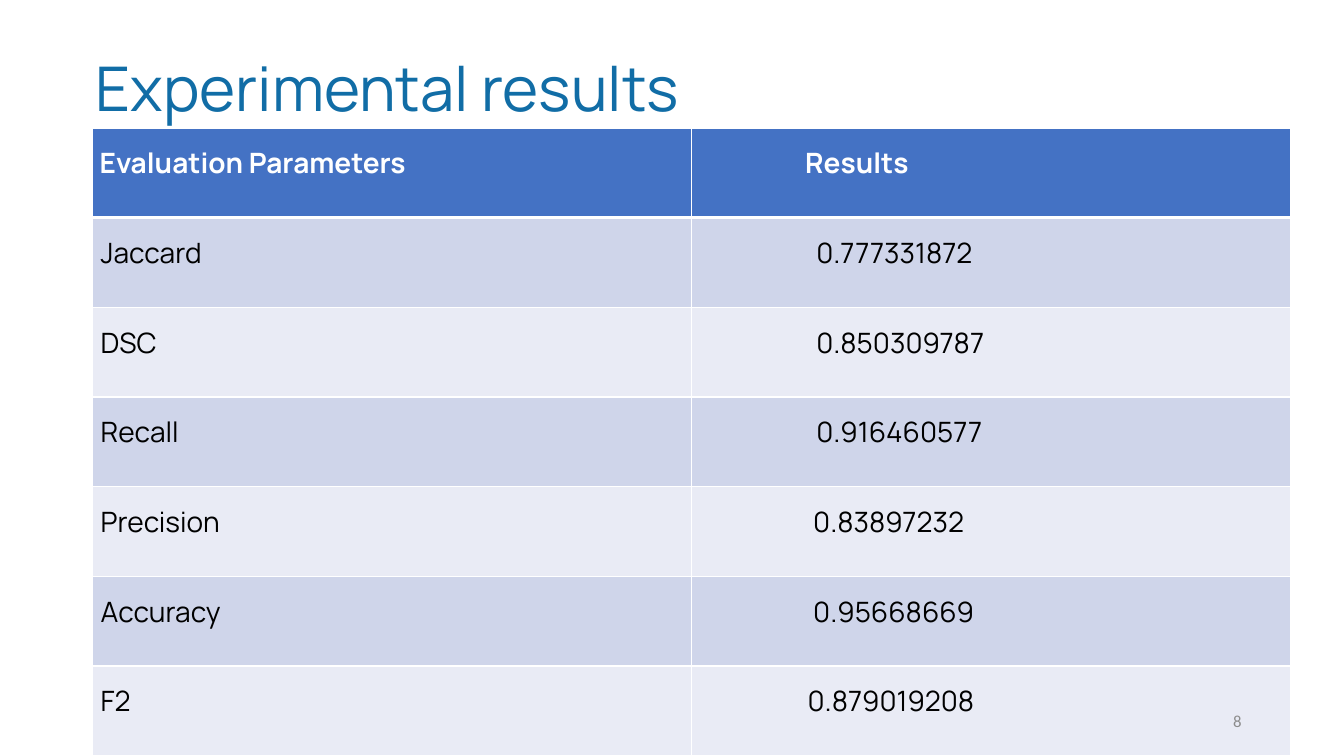
from dataclasses import dataclass

import pptx
import pptx.dml.color
import pptx.enum.text
import pptx.oxml
import pptx.oxml.ns
import pptx.util
from pptx.util import Pt


@dataclass(frozen=True)
class Theme:
    """Colours, fonts and type sizes of the slide."""
    title: str = "116DA6"
    header: str = "4472C4"
    bands: tuple = ("CFD5EA", "E9EBF5")
    white: str = "FFFFFF"
    ink: str = "000000"
    muted: str = "8C8C8C"
    font: str = "Manrope"
    number_font: str = "Calibri"
    title_size: int = 44
    cell_size: int = 20
    number_size: int = 12


THEME = Theme()
WIDTH, HEIGHT = 960, 540
HEADINGS = (("Evaluation Parameters", 0), ("Results", 76.3))
MEASURES = (
    ("Jaccard", "0.777331872", 84.2),
    ("DSC", "0.850309787", 84.2),
    ("Recall", "0.916460577", 84.2),
    ("Precision", "0.83897232", 82),
    ("Accuracy", "0.95668669", 82),
    ("F2", "0.879019208", 78),
)


def rgb(code):
    """Return the colour for a hex code."""
    return pptx.dml.color.RGBColor.from_string(code)


def style(paragraph, font, size, color, bold=False):
    """Format every run of a paragraph."""
    for run in paragraph.runs:
        run.font.name = font
        run.font.size = Pt(size)
        run.font.color.rgb = rgb(color)
        run.font.bold = bold


def add_label(slide, box, text, font, size, color, align, spacing=1.0):
    """Place one vertically centred line of text in a box."""
    label = slide.shapes.add_textbox(*map(Pt, box))
    frame = label.text_frame
    frame.word_wrap = True
    frame.vertical_anchor = pptx.enum.text.MSO_ANCHOR.MIDDLE
    frame.text = text
    line = frame.paragraphs[0]
    line.alignment = align
    line.line_spacing = spacing
    style(line, font, size, color)


def add_borders(cell, bottom):
    """Draw white borders round a cell, with a given bottom weight."""
    properties = cell._tc.get_or_add_tcPr()
    for place, (side, weight) in enumerate((("L", 1), ("R", 1), ("T", 1), ("B", bottom))):
        border = pptx.oxml.parse_xml(
            f'<a:ln{side} {pptx.oxml.ns.nsdecls("a")} w="{Pt(weight)}"><a:solidFill>'
            f'<a:srgbClr val="{THEME.white}"/></a:solidFill></a:ln{side}>')
        properties.insert(place, border)


def fill_cell(cell, text, indent, fill, color, header):
    """Write and format one table cell."""
    cell.margin_left = cell.margin_right = Pt(5)
    cell.margin_top = cell.margin_bottom = Pt(7.2)
    cell.fill.solid()
    cell.fill.fore_color.rgb = rgb(fill)
    cell.text = text
    line = cell.text_frame.paragraphs[0]
    line.line_spacing = 1.15
    line.space_after = Pt(12)
    properties = line._p.get_or_add_pPr()
    properties.set("marL", str(Pt(indent)))
    properties.set("indent", "0")
    style(line, THEME.font, THEME.cell_size, color, header)
    add_borders(cell, 3 if header else 1)


def add_results(slide, box):
    """Fill a box with the table of evaluation results."""
    left, top, width, height = box
    rows = [HEADINGS] + [((name, 0.7), (value, indent)) for name, value, indent in MEASURES]
    results = slide.shapes.add_table(len(rows), 2, *map(Pt, box)).table
    for column in results.columns:
        column.width = Pt(width / 2)
    for row_index, entries in enumerate(rows):
        header = row_index == 0
        results.rows[row_index].height = Pt(height / len(rows))
        fill = THEME.header if header else THEME.bands[(row_index - 1) % 2]
        color = THEME.white if header else THEME.ink
        for column_index, (text, indent) in enumerate(entries):
            fill_cell(results.cell(row_index, column_index), text, indent, fill, color, header)


def main():
    """Build and save the results slide."""
    deck = pptx.Presentation()
    deck.slide_width, deck.slide_height = Pt(WIDTH), Pt(HEIGHT)
    slide = deck.slides.add_slide(deck.slide_layouts[6])
    align = pptx.enum.text.PP_ALIGN
    table_top = 91.4
    add_label(slide, (61.2, 13, 828, 104.4), "Experimental results",
              THEME.font, THEME.title_size, THEME.title, align.LEFT, 0.9)
    add_results(slide, (66.2, table_top, 855.4, HEIGHT - table_top))
    add_label(slide, (678, 500.5, 216, 28.8), "8",
              THEME.number_font, THEME.number_size, THEME.muted, align.RIGHT)
    deck.save("out.pptx")


if __name__ == "__main__":
    main()
